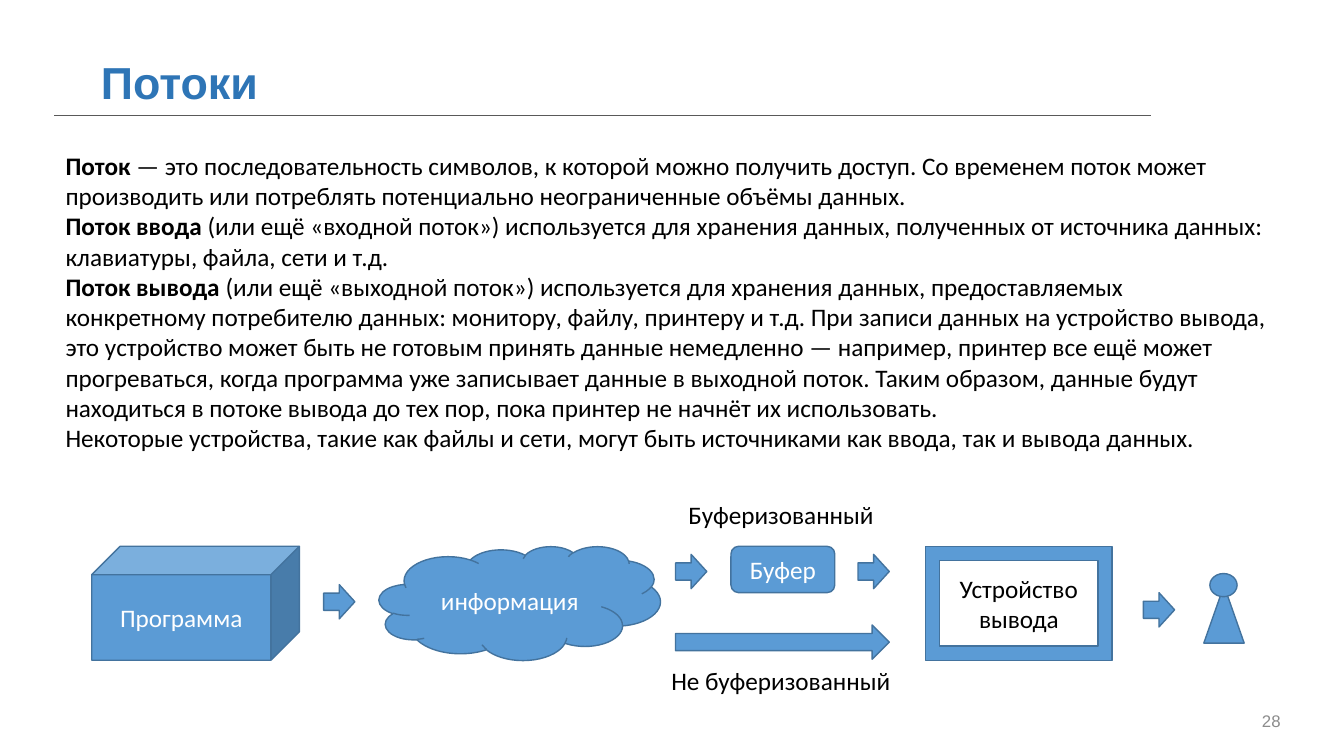
from dataclasses import dataclass

from lxml.etree import SubElement
from pptx import Presentation
from pptx.dml.color import RGBColor
from pptx.enum.shapes import MSO_CONNECTOR, MSO_SHAPE
from pptx.enum.text import MSO_ANCHOR, MSO_AUTO_SIZE, PP_ALIGN
from pptx.oxml.ns import qn
from pptx.util import Inches, Pt


@dataclass(frozen=True)
class Theme:
    heading_font: str = "Arial"
    body_font: str = "Calibri"
    title_size: int = 32
    body_size: int = 18
    number_size: int = 12
    title: str = "2E75B6"
    text: str = "000000"
    light: str = "FFFFFF"
    number: str = "8C8C8C"
    rule: str = "595959"
    fill: str = "5B9BD5"
    outline: str = "43739E"


THEME = Theme()

DEFINITIONS = [
    ("Поток", " — это последовательность символов, к которой можно получить доступ. "
     "Со временем поток может производить или потреблять потенциально "
     "неограниченные объёмы данных."),
    ("Поток ввода ", "(или ещё «входной поток») используется для хранения данных, "
     "полученных от источника данных: клавиатуры, файла, сети и т.д."),
    ("Поток вывода ", "(или ещё «выходной поток») используется для хранения данных, "
     "предоставляемых конкретному потребителю данных: монитору, файлу, принтеру и т.д. "
     "При записи данных на устройство вывода, это устройство может быть не готовым "
     "принять данные немедленно — например, принтер все ещё может прогреваться, когда "
     "программа уже записывает данные в выходной поток. Таким образом, данные будут "
     "находиться в потоке вывода до тех пор, пока принтер не начнёт их использовать."),
    ("", "Некоторые устройства, такие как файлы и сети, могут быть источниками "
     "как ввода, так и вывода данных."),
]

# Diagram parts: preset, left, top, width, height, label, label colour
STAGE_TOP, STAGE_HEIGHT = 5.42, 1.13
STAGES = [
    (MSO_SHAPE.CUBE, 0.91, STAGE_TOP, 2.06, STAGE_HEIGHT, "Программа", THEME.light),
    (MSO_SHAPE.CLOUD, 3.76, STAGE_TOP, 2.79, STAGE_HEIGHT, "информация", THEME.light),
    (MSO_SHAPE.ROUNDED_RECTANGLE, 7.25, STAGE_TOP, 1.03, 0.46, "Буфер", THEME.light),
    (MSO_SHAPE.FRAME, 9.18, STAGE_TOP, 1.85, STAGE_HEIGHT, "Устройство вывода", THEME.text),
    (MSO_SHAPE.ISOSCELES_TRIANGLE, 11.94, 5.81, 0.4, 0.57, "", THEME.light),
    (MSO_SHAPE.FLOWCHART_CONNECTOR, 12, 5.69, 0.27, 0.23, "", THEME.light),
]

# Arrows: left, top, width
SHORT_ARROW, LONG_ARROW, ARROW_HEIGHT = 0.31, 2.12, 0.34
ARROWS = [
    (3.21, 5.8, SHORT_ARROW),
    (6.7, 5.5, SHORT_ARROW),
    (8.51, 5.5, SHORT_ARROW),
    (6.7, 6.2, LONG_ARROW),
    (11.34, 5.88, SHORT_ARROW),
]

# Captions: text, left, top, width
CAPTIONS = [
    ("Буферизованный", 6.73, 4.9, 2.06),
    ("Не буферизованный", 6.56, 6.55, 2.4),
]


def set_values(target, values):
    for name, value in values.items():
        setattr(target, name, value)


def place(shape, left, top, width, height):
    set_values(shape, {"left": Inches(left), "top": Inches(top),
                       "width": Inches(width), "height": Inches(height)})


def add_span(para, text, color=THEME.text, size=THEME.body_size,
             font=THEME.body_font, bold=False):
    span = para.add_run()
    span.text = text
    set_values(span.font, {"name": font, "size": Pt(size), "bold": bold})
    span.font.color.rgb = RGBColor.from_string(color)


def add_title(page, text):
    title = page.shapes.title
    place(title, 0.9, 0.53, 8.45, 0.55)
    set_values(title.text_frame, {"vertical_anchor": MSO_ANCHOR.MIDDLE,
                                  "auto_size": MSO_AUTO_SIZE.NONE})
    para = title.text_frame.paragraphs[0]
    para.alignment = PP_ALIGN.LEFT
    add_span(para, text, THEME.title, THEME.title_size, THEME.heading_font, True)


def add_definitions(page, definitions):
    body = page.placeholders[1]
    place(body, 0.55, 1.44, 12.14, 3.13)
    frame = body.text_frame
    set_values(frame, {"vertical_anchor": MSO_ANCHOR.TOP, "word_wrap": True,
                       "auto_size": MSO_AUTO_SIZE.NONE})
    for index, (term, meaning) in enumerate(definitions):
        para = frame.add_paragraph() if index else frame.paragraphs[0]
        set_values(para, {"alignment": PP_ALIGN.LEFT, "line_spacing": 1.0,
                          "space_before": Pt(0), "space_after": Pt(0)})
        # Plain paragraphs without bullet or hanging indent
        properties = para._p.get_or_add_pPr()
        properties.set("marL", "0")
        properties.set("indent", "0")
        SubElement(properties, qn("a:buNone"))
        if term:
            add_span(para, term, bold=True)
        add_span(para, meaning)


def add_rule(page, left, right, top):
    rule = page.shapes.add_connector(MSO_CONNECTOR.STRAIGHT, Inches(left), Inches(top),
                                     Inches(right), Inches(top))
    rule.line.color.rgb = RGBColor.from_string(THEME.rule)
    rule.line.width = Pt(0.5)
    SubElement(rule._element.spPr, qn("a:effectLst"))


def add_part(page, preset, left, top, width, height, label="", color=THEME.light):
    part = page.shapes.add_shape(preset, Inches(left), Inches(top),
                                 Inches(width), Inches(height))
    part.shadow.inherit = False
    part.fill.solid()
    part.fill.fore_color.rgb = RGBColor.from_string(THEME.fill)
    part.line.color.rgb = RGBColor.from_string(THEME.outline)
    part.line.width = Pt(1)
    if label:
        set_values(part.text_frame, {"vertical_anchor": MSO_ANCHOR.MIDDLE, "word_wrap": True})
        para = part.text_frame.paragraphs[0]
        para.alignment = PP_ALIGN.CENTER
        add_span(para, label, color)


def add_caption(page, text, left, top, width, wrap=False, align=PP_ALIGN.LEFT,
                anchor=MSO_ANCHOR.TOP, **span_format):
    box = page.shapes.add_textbox(Inches(left), Inches(top), Inches(width), Inches(0.4))
    set_values(box.text_frame, {"word_wrap": wrap, "vertical_anchor": anchor})
    para = box.text_frame.paragraphs[0]
    para.alignment = align
    add_span(para, text, **span_format)


def main():
    deck = Presentation()
    set_values(deck, {"slide_width": Inches(13.33), "slide_height": Inches(7.5)})
    page = deck.slides.add_slide(deck.slide_layouts[1])

    # Heading and text
    add_title(page, "Потоки")
    add_rule(page, 0.54, 11.42, 1.14)
    add_definitions(page, DEFINITIONS)

    # Data flow diagram
    for stage in STAGES:
        add_part(page, *stage)
    for left, top, width in ARROWS:
        add_part(page, MSO_SHAPE.RIGHT_ARROW, left, top, width, ARROW_HEIGHT)
    for caption in CAPTIONS:
        add_caption(page, *caption)

    # Page number
    add_caption(page, "28", 11.5, 6.95, 1.3, wrap=True, align=PP_ALIGN.RIGHT,
                anchor=MSO_ANCHOR.MIDDLE, color=THEME.number,
                size=THEME.number_size, font=THEME.heading_font)

    deck.save("out.pptx")


if __name__ == "__main__":
    main()
